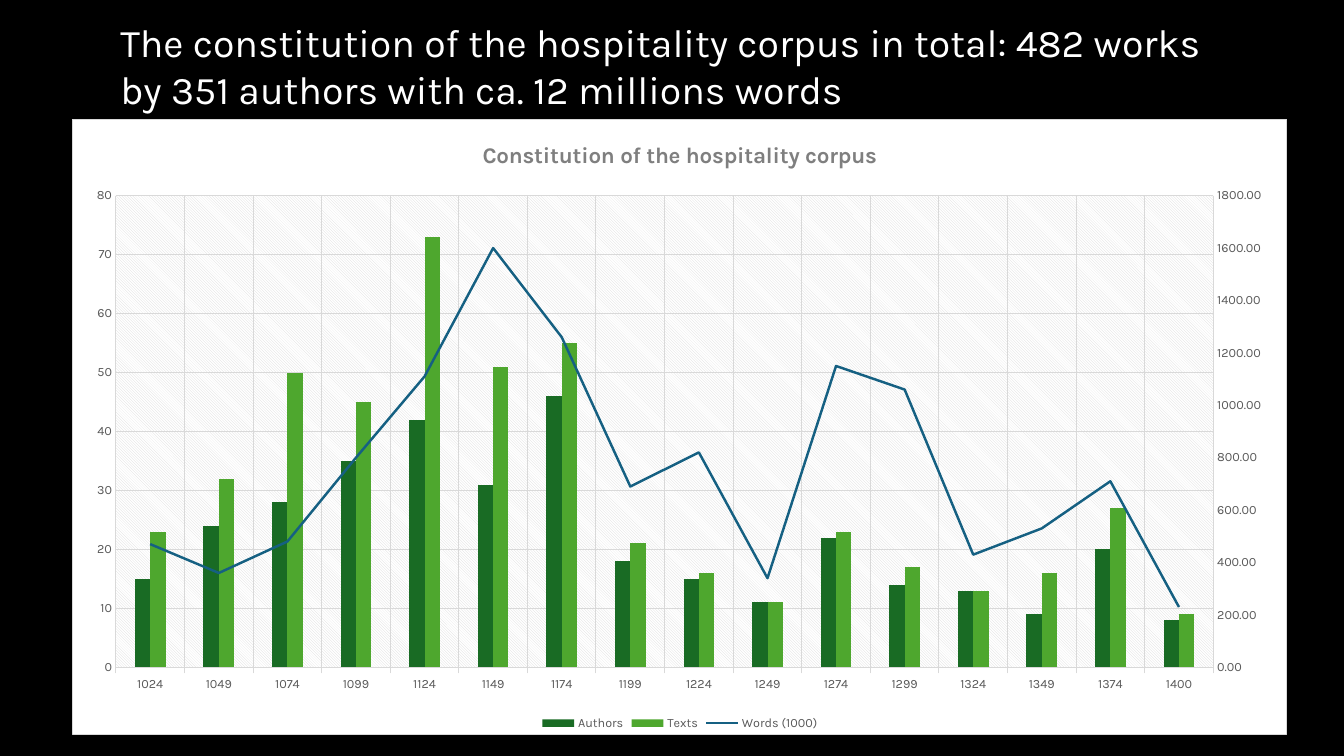
from copy import deepcopy
from dataclasses import dataclass

from pptx import Presentation
from pptx.chart.axis import ValueAxis
from pptx.chart.data import CategoryChartData
from pptx.dml.color import RGBColor
from pptx.enum.chart import XL_CHART_TYPE, XL_LEGEND_POSITION, XL_MARKER_STYLE, XL_TICK_MARK
from pptx.enum.text import MSO_ANCHOR, PP_ALIGN
from pptx.oxml import parse_xml
from pptx.oxml.ns import nsdecls, qn
from pptx.util import Pt

PX = 9525


@dataclass(frozen=True)
class Theme:
    font: str = "Karla"
    background: str = "000000"
    paper: str = "FFFFFF"
    rule: str = "D9D9D9"
    label: str = "595959"
    heading: str = "7F7F7F"
    authors: str = "196B24"
    texts: str = "4EA72E"
    words: str = "156082"
    title_size: int = 28
    heading_size: int = 16
    chart_size: int = 10
    label_size: int = 9
    rule_width: float = 0.75
    words_width: float = 1.75


THEME = Theme()
TITLE = ("The constitution of the hospitality corpus in total: "
         "482 works by 351 authors with ca. 12 millions words")
HEADING = "Constitution of the hospitality corpus"
YEARS = [*range(1024, 1375, 25), 1400]
SERIES = {
    "Authors": [15, 24, 28, 35, 42, 31, 46, 18, 15, 11, 22, 14, 13, 9, 20, 8],
    "Texts": [23, 32, 50, 45, 73, 51, 55, 21, 16, 11, 23, 17, 13, 16, 27, 9],
    "Words (1000)": [470, 360, 480, 800, 1110, 1600, 1260, 690,
                     820, 340, 1150, 1060, 430, 530, 710, 230],
}


def set_attrs(obj, values):
    for name, value in values.items():
        setattr(obj, name, value)


def set_font(font, size, color, bold=False):
    set_attrs(font, {"name": THEME.font, "size": Pt(size), "bold": bold})
    font.color.rgb = RGBColor.from_string(color)


def set_line(line, color, width):
    line.color.rgb = RGBColor.from_string(color)
    line.width = Pt(width)


def add_title(slide, box):
    sp = slide.shapes.title
    set_attrs(sp, dict(zip(("left", "top", "width", "height"), (v * PX for v in box))))
    tf = sp.text_frame
    set_attrs(tf, {"text": TITLE, "word_wrap": True, "vertical_anchor": MSO_ANCHOR.MIDDLE})
    p = tf.paragraphs[0]
    set_attrs(p, {"alignment": PP_ALIGN.LEFT, "line_spacing": 1.0})
    set_font(p.runs[0].font, THEME.title_size, THEME.paper)


def format_axis(axis, values):
    set_attrs(axis, {"has_major_gridlines": True, "minor_tick_mark": XL_TICK_MARK.NONE, **values})
    set_font(axis.tick_labels.font, THEME.label_size, THEME.label)
    set_line(axis.major_gridlines.format.line, THEME.rule, THEME.rule_width)


def set_child(element, tag, value):
    element.find(qn(tag)).set("val", str(value))


def add_words_line(chart, plot_area):
    bar = plot_area.find(qn("c:barChart"))
    line = parse_xml(
        f'<c:lineChart {nsdecls("c")}><c:grouping val="standard"/><c:varyColors val="0"/>'
        '<c:marker val="1"/><c:axId val="5001"/><c:axId val="5002"/></c:lineChart>')
    ser = bar.findall(qn("c:ser"))[-1]
    for invert in ser.findall(qn("c:invertIfNegative")):
        ser.remove(invert)
    line.insert(2, ser)
    bar.addnext(line)

    value = plot_area.find(qn("c:valAx"))
    right, hidden = deepcopy(value), deepcopy(plot_area.find(qn("c:catAx")))
    for axis, own, other in ((right, 5002, 5001), (hidden, 5001, 5002)):
        set_child(axis, "c:axId", own)
        set_child(axis, "c:crossAx", other)
    set_child(right, "c:axPos", "r")
    set_child(right, "c:crosses", "max")
    value.addnext(right)
    right.addnext(hidden)
    set_child(hidden, "c:delete", 1)

    right_axis = ValueAxis(right)
    set_attrs(right_axis, {"has_major_gridlines": False, "maximum_scale": 1800, "major_unit": 200})
    set_attrs(right_axis.tick_labels, {"number_format": "0.00", "number_format_is_linked": False})

    words = chart.plots[1].series[0]
    words.smooth = False
    words.marker.style = XL_MARKER_STYLE.NONE
    set_line(words.format.line, THEME.words, THEME.words_width)


def set_plot_box(plot_area, box, plot_box):
    left, top, width, height = box
    x, y, w, h = plot_box
    shares = {"x": (x - left) / width, "y": (y - top) / height, "w": w / width, "h": h / height}
    for layout in plot_area.findall(qn("c:layout")):
        plot_area.remove(layout)
    plot_area.insert(0, parse_xml(
        f'<c:layout {nsdecls("c")}><c:manualLayout><c:layoutTarget val="inner"/>'
        '<c:xMode val="edge"/><c:yMode val="edge"/>'
        + "".join(f'<c:{key} val="{share:.4f}"/>' for key, share in shares.items())
        + '</c:manualLayout></c:layout>'))


def fill_areas(chart, plot_area):
    def solid(color):
        return f'<a:solidFill><a:srgbClr val="{color}"/></a:solidFill>'

    def area(body):
        return parse_xml(f'<c:spPr {nsdecls("c", "a")}>{body}</c:spPr>')

    plot_area.append(area(
        f'<a:pattFill prst="ltDnDiag"><a:fgClr><a:srgbClr val="{THEME.rule}"/></a:fgClr>'
        f'<a:bgClr><a:srgbClr val="{THEME.paper}"/></a:bgClr></a:pattFill><a:ln><a:noFill/></a:ln>'))
    chart.element.find(qn("c:chart")).addnext(area(
        f'{solid(THEME.paper)}<a:ln w="{Pt(THEME.rule_width)}">{solid(THEME.rule)}</a:ln>'))


def add_corpus_chart(slide, box, plot_box):
    data = CategoryChartData()
    data.categories = [str(year) for year in YEARS]
    for name, values in SERIES.items():
        data.add_series(name, values)
    chart = slide.shapes.add_chart(
        XL_CHART_TYPE.COLUMN_CLUSTERED, *(v * PX for v in box), data).chart
    set_font(chart.font, THEME.chart_size, THEME.paper)

    tf = chart.chart_title.text_frame
    tf.text = HEADING
    set_font(tf.paragraphs[0].runs[0].font, THEME.heading_size, THEME.heading, True)
    chart.chart_title.include_in_layout = False

    chart.has_legend = True
    set_attrs(chart.legend, {"position": XL_LEGEND_POSITION.BOTTOM, "include_in_layout": False})
    set_font(chart.legend.font, THEME.label_size, THEME.label)

    columns = chart.plots[0]
    set_attrs(columns, {"gap_width": 247, "overlap": 0, "vary_by_categories": False})
    for series, color in zip(columns.series, (THEME.authors, THEME.texts)):
        series.format.fill.solid()
        series.format.fill.fore_color.rgb = RGBColor.from_string(color)

    format_axis(chart.category_axis, {"major_tick_mark": XL_TICK_MARK.OUTSIDE})
    set_line(chart.category_axis.format.line, THEME.rule, THEME.rule_width)
    format_axis(chart.value_axis, {"major_tick_mark": XL_TICK_MARK.NONE, "minimum_scale": 0,
                                   "maximum_scale": 80, "major_unit": 10})
    chart.value_axis.format.line.fill.background()

    plot_area = chart.element.find(qn("c:chart")).find(qn("c:plotArea"))
    add_words_line(chart, plot_area)
    set_plot_box(plot_area, box, plot_box)
    fill_areas(chart, plot_area)


def main():
    prs = Presentation()
    set_attrs(prs, {"slide_width": 1280 * PX, "slide_height": 720 * PX})
    slide = prs.slides.add_slide(prs.slide_layouts[5])
    fill = slide.background.fill
    fill.solid()
    fill.fore_color.rgb = RGBColor.from_string(THEME.background)
    add_title(slide, (105, 12, 1049, 100))
    add_corpus_chart(slide, (69, 113, 1157, 587), (110, 186, 1046, 450))
    prs.save("out.pptx")


if __name__ == "__main__":
    main()
